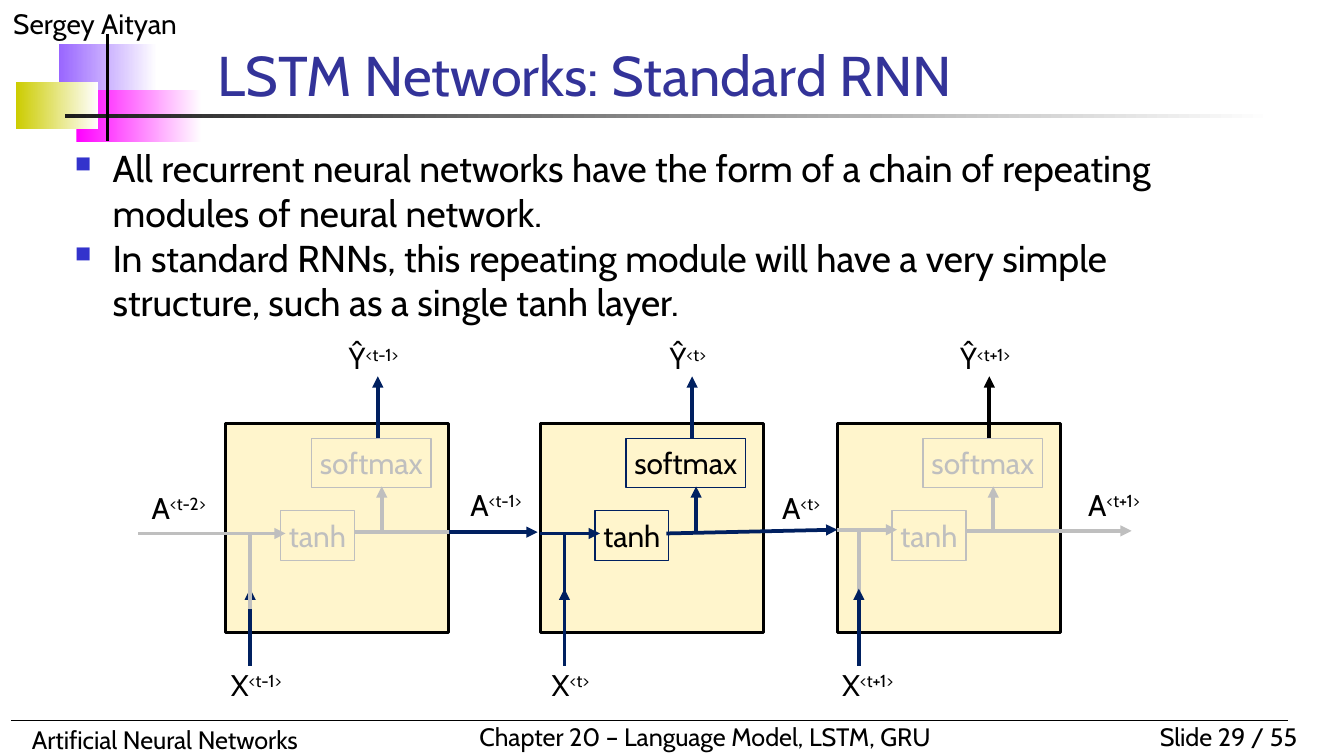
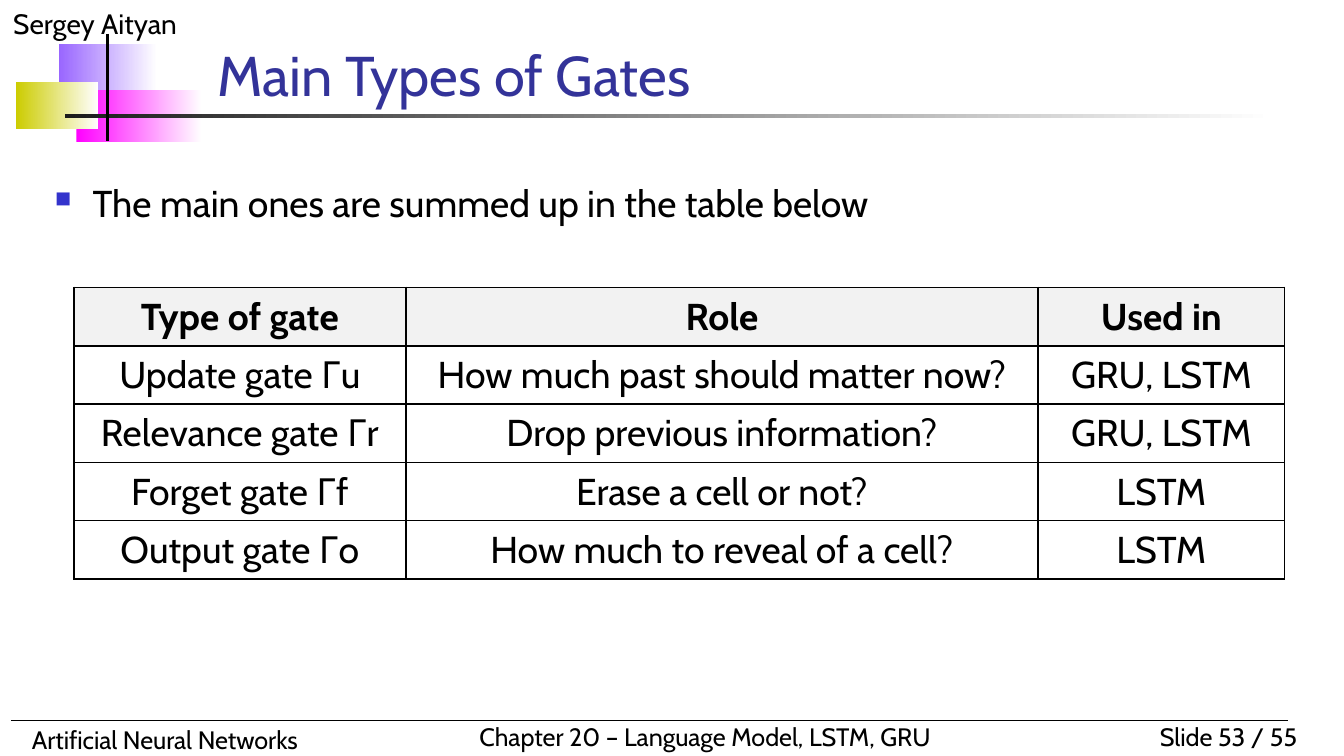
from dataclasses import dataclass

from pptx import Presentation
from pptx.dml.color import RGBColor
from pptx.enum.shapes import MSO_CONNECTOR, MSO_SHAPE
from pptx.enum.text import MSO_ANCHOR as Anchor, PP_ALIGN as Align
from pptx.oxml.ns import qn
from pptx.util import Pt
from lxml.etree import SubElement

FONT = "Cabin"
COLORS = {
    "white": "FFFFFF", "black": "000000", "title": "333399", "bullet": "3333CC",
    "violet": "9966FF", "magenta": "FF00FF", "olive": "CCCC00", "rule": "1C1C1C",
    "module": "FFF5CC", "active": "002060", "faded": "BFBFBF", "header": "F2F2F2",
}
DEFAULT_INSETS = (7.2, 3.6, 7.2, 3.6)
LABEL_INSETS = (0, 0, 0, 2.9)
LABEL_SIZE = (47.5, 23)
MODULE_SIZE = (119.5, 112.3)
MODULE_TOP = 226.8


def rgb(name):
    return RGBColor.from_string(COLORS[name])


def write(frame, *paragraphs, size=16, color="black", bold=False, align=Align.LEFT,
          anchor=Anchor.TOP, insets=DEFAULT_INSETS, bullet=False):
    """Fill a text frame; a paragraph is a string or a (base, superscript) pair."""
    frame.word_wrap = True
    frame.vertical_anchor = anchor
    frame.margin_left, frame.margin_top, frame.margin_right, frame.margin_bottom = map(Pt, insets)
    for index, parts in enumerate(paragraphs):
        paragraph = frame.add_paragraph() if index else frame.paragraphs[0]
        paragraph.alignment = align
        if bullet:
            add_bullet(paragraph)
        for position, text in enumerate((parts,) if isinstance(parts, str) else parts):
            run = paragraph.add_run()
            run.text = text
            font = run.font
            font.name, font.size, font.bold = FONT, Pt(size), bold
            font.color.rgb = rgb(color)
            if position:
                font._element.set("baseline", "30000")


def add_bullet(paragraph):
    properties = paragraph._p.get_or_add_pPr()
    properties.set("marL", str(Pt(20.2)))
    properties.set("indent", str(-Pt(20.2)))
    color = SubElement(properties, qn("a:buClr"))
    SubElement(color, qn("a:srgbClr"), val=COLORS["bullet"])
    SubElement(properties, qn("a:buSzPct"), val="60000")
    SubElement(properties, qn("a:buChar"), char="■")


def add_text(slide, box, *paragraphs, **text_format):
    shape = slide.shapes.add_textbox(*map(Pt, box))
    write(shape.text_frame, *paragraphs, **text_format)


def add_label(slide, left, top, base, step):
    add_text(slide, (left, top, *LABEL_SIZE), (base, f"<{step}>"),
             align=Align.CENTER, insets=LABEL_INSETS)


def add_box(slide, box, fill=None, fade_from=None, line=None, width=0.75):
    shape = slide.shapes.add_shape(MSO_SHAPE.RECTANGLE, *map(Pt, box))
    shape.shadow.inherit = False
    if fade_from:
        shape.fill.gradient()
        shape.fill.gradient_angle = 0
        for stop, color in zip(shape.fill.gradient_stops, (fade_from, "white")):
            stop.color.rgb = rgb(color)
    elif fill:
        shape.fill.solid()
        shape.fill.fore_color.rgb = rgb(fill)
    else:
        shape.fill.background()
    if line:
        shape.line.color.rgb = rgb(line)
        shape.line.width = Pt(width)
    else:
        shape.line.fill.background()
    return shape


def add_line(slide, start, end, color="black", width=2, arrow=False):
    line = slide.shapes.add_connector(MSO_CONNECTOR.STRAIGHT, *map(Pt, (*start, *end)))
    line.line.color.rgb = rgb(color)
    line.line.width = Pt(width)
    if arrow:
        SubElement(line.line._get_or_add_ln(), qn("a:tailEnd"), type="triangle")
    SubElement(line._element.spPr, qn("a:effectLst"))


def add_emblem(slide, left, top):
    for x, y, width, height, color in (
        (23, 5.8, 52.6, 28, "violet"),
        (32.4, 30.2, 67, 28, "magenta"),
        (0, 26, 44, 25.2, "olive"),
        (26, 43.2, 648, 2.1, "rule"),
    ):
        add_box(slide, (left + x, top + y, width, height), fade_from=color)
    add_line(slide, (left + 49, top), (left + 49, top + 57.6))


def add_footer(slide, top, number):
    add_text(slide, (594, top, 108, 23.8), f"Slide {number} / 55", size=13.5, align=Align.RIGHT)
    add_text(slide, (10, top + 1.4, 266, 23.8), "Artificial Neural Networks", size=13.5)
    add_text(slide, (249.8, top, 272, 23.8), "Chapter 20 – Language Model, LSTM, GRU", size=13.5)
    add_line(slide, (5.8, top + 2.9), (689.8, top + 2.9), width=0.75)


def add_lecture_slide(presentation, title, number):
    slide = presentation.slides.add_slide(presentation.slide_layouts[6])
    add_emblem(slide, 8.6, 18)
    add_text(slide, (0, 0, 180, 25.2), "Sergey Aityan", size=15)
    add_footer(slide, 383, number)
    add_text(slide, (109.4, 22.3, 586, 38.9), title, size=30, color="title", anchor=Anchor.BOTTOM)
    return slide


@dataclass
class Module:
    left: float
    step: str
    cells: str = "faded"
    cell_text: str = "faded"
    output: str = "active"
    entry: float = 0
    flow: float = 59
    input_x: float = 13
    stem_on_top: bool = False


MODULES = (
    Module(121, "t-1", entry=-46.8, stem_on_top=True),
    Module(289.4, "t", cells="active", cell_text="black"),
    Module(448.6, "t+1", output="black", flow=57, input_x=11.5),
)


def add_module(slide, module, top):
    left = module.left

    def at(x, y):
        return left + x, top + y

    def cell(x, y, width, name):
        shape = add_box(slide, (*at(x, y), width, 26.6), line=module.cells)
        write(shape.text_frame, name, color=module.cell_text, align=Align.CENTER,
              insets=(3.6,) * 4)

    add_box(slide, (left, top, *MODULE_SIZE), fill="module", line="black", width=1.5)
    add_label(slide, *at(-7.5, 130.3), "X", module.step)
    add_label(slide, *at(55.4, -44.6), "Ŷ", module.step)

    x = module.input_x
    inputs = [
        (at(x, 99.4), at(x, module.flow - 1), module.cells, 2, False),
        (at(x, 130), at(x, 88.6), "active", 2, True),
    ]
    for line in reversed(inputs) if module.stem_on_top else inputs:
        add_line(slide, *line)
    add_line(slide, at(module.entry, module.flow), at(32, module.flow), module.cells, arrow=True)
    cell(29.3, 46.8, 39.6, "tanh")
    add_line(slide, at(83.5, 57.6), at(83.5, 33.8), module.cells, arrow=True)
    cell(46, 8, 64, "softmax")
    add_line(slide, at(81.4, 8), at(81.4, -25.2), module.output, arrow=True)


def add_chain(slide, top):
    """Draw the modules and the activations that pass between them."""
    for module in MODULES:
        add_module(slide, module, top)
    for left, drop, step in ((72, 35.3, "t-2"), (242, 33.8, "t-1"),
                             (405.4, 35.3, "t"), (573, 33.8, "t+1")):
        add_label(slide, left, top + drop, "A", step)
    for x1, y1, x2, y2, color, arrow in (
        (190, 58.3, 242, 58.3, "faded", False),
        (240.5, 58.3, 288, 58.3, "active", True),
        (357, 59, 448.6, 57, "active", True),
        (517.7, 57.6, 606.2, 57.6, "faded", True),
    ):
        add_line(slide, (x1, top + y1), (x2, top + y2), color, arrow=arrow)


def add_cell_borders(cell):
    properties = cell._tc.get_or_add_tcPr()
    for side in ("lnL", "lnR", "lnT", "lnB"):
        border = SubElement(properties, qn(f"a:{side}"), w=str(Pt(1)))
        fill = SubElement(border, qn("a:solidFill"))
        SubElement(fill, qn("a:srgbClr"), val=COLORS["black"])


def add_gate_table(slide, left, top, widths, row_height, rows):
    box = (left, top, sum(widths), row_height * len(rows))
    table = slide.shapes.add_table(len(rows), len(widths), *map(Pt, box)).table
    table.first_row = table.horz_banding = False
    for column, width in zip(table.columns, widths):
        column.width = Pt(width)
    for row_index, texts in enumerate(rows):
        is_header = row_index == 0
        table.rows[row_index].height = Pt(row_height)
        for column_index, text in enumerate(texts):
            cell = table.cell(row_index, column_index)
            add_cell_borders(cell)
            if is_header:
                cell.fill.solid()
                cell.fill.fore_color.rgb = rgb("header")
            else:
                cell.fill.background()
            write(cell.text_frame, text, size=20, bold=is_header, align=Align.CENTER)
            cell.vertical_anchor = Anchor.MIDDLE


def build_rnn_slide(presentation):
    slide = add_lecture_slide(presentation, "LSTM Networks: Standard RNN", 29)
    add_text(
        slide, (33, 74.2, 649.4, 60),
        "All recurrent neural networks have the form of a chain of repeating modules "
        "of neural network.",
        "In standard RNNs, this repeating module will have a very simple structure, "
        "such as a single tanh layer.",
        size=20, bullet=True,
    )
    add_chain(slide, MODULE_TOP)


def build_gates_slide(presentation):
    slide = add_lecture_slide(presentation, "Main Types of Gates", 53)
    add_text(slide, (22.3, 93, 684, 38.9), "The main ones are summed up in the table below",
             size=20, bullet=True)
    add_gate_table(slide, 39.6, 154, (177.8, 338.8, 132), 31.25, (
        ("Type of gate", "Role", "Used in"),
        ("Update gate Γu", "How much past should matter now?", "GRU, LSTM"),
        ("Relevance gate Γr", "Drop previous information?", "GRU, LSTM"),
        ("Forget gate Γf", "Erase a cell or not?", "LSTM"),
        ("Output gate Γo", "How much to reveal of a cell?", "LSTM"),
    ))


def main():
    presentation = Presentation()
    presentation.slide_width, presentation.slide_height = Pt(720), Pt(405)
    build_rnn_slide(presentation)
    build_gates_slide(presentation)
    presentation.save("out.pptx")


if __name__ == "__main__":
    main()
